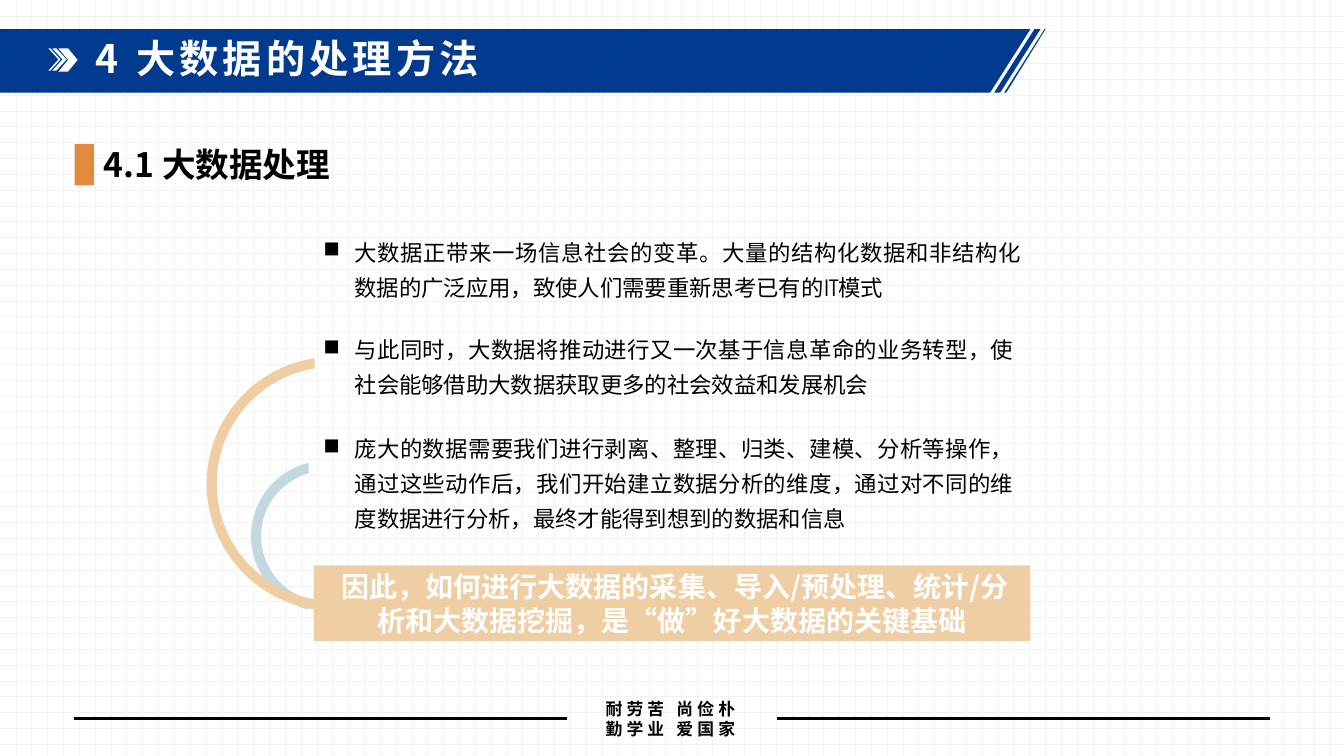
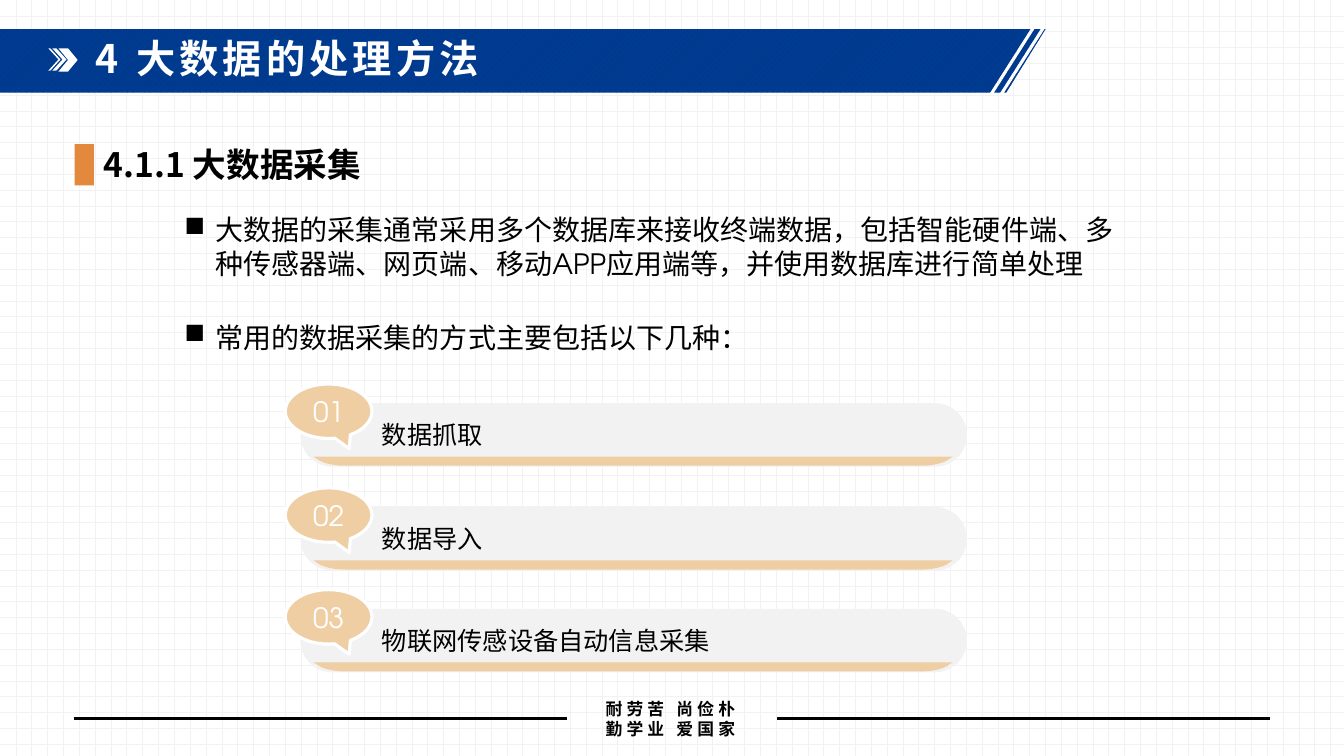
import math
import pptx
import pptx.util
import pptx.dml.color
import pptx.enum.dml
import pptx.enum.shapes
import pptx.enum.text
import pptx.oxml
import pptx.oxml.ns

Inches, Pt = pptx.util.Inches, pptx.util.Pt
SHAPE = pptx.enum.shapes.MSO_SHAPE
ALIGN = pptx.enum.text.PP_ALIGN
ANCHOR = pptx.enum.text.MSO_ANCHOR
PATTERN = pptx.enum.dml.MSO_PATTERN

# Content
TITLE = "4 大数据的处理方法"
MOTTO = ["耐劳苦 尚俭朴", "勤学业 爱国家"]
HEADS = ["4.1 大数据处理", "4.1.1 大数据采集"]
TRENDS = [  # top, width, height, text
    (2.36, 7.13, 0.56, "大数据正带来一场信息社会的变革。大量的结构化数据和非结构化数据的广泛应用，致使人们需要重新思考已有的IT模式"),
    (2.91, 7.05, 1.39, "与此同时，大数据将推动进行又一次基于信息革命的业务转型，使社会能够借助大数据获取更多的社会效益和发展机会"),
    (3.99, 7.05, 1.54, "庞大的数据需要我们进行剥离、整理、归类、建模、分析等操作，通过这些动作后，我们开始建立数据分析的维度，通过对不同的维度数据进行分析，最终才能得到想到的数据和信息"),
]
CLAIM = "因此，如何进行大数据的采集、导入/预处理、统计/分析和大数据挖掘，是“做”好大数据的关键基础"
INTRO = [
    "大数据的采集通常采用多个数据库来接收终端数据，包括智能硬件端、多种传感器端、网页端、移动APP应用端等，并使用数据库进行简单处理",
    "常用的数据采集的方式主要包括以下几种：",
]
WAYS = [(4, "数据抓取"), (5.03, "数据导入"), (6.04, "物联网传感设备自动信息采集")]

# Colours and text formats
NAVY, BLUE, ORANGE = "003A8F", "00449A", "E3893D"
SAND, TEAL, GREY = "F0CEA3", "C1D9DF", "F2F2F2"
WHITE, BLACK = "FFFFFF", "000000"
HEAVY, LIGHT = "Noto Sans CJK SC", "TeX Gyre Adventor"

BANNER = dict(size=28, name=HEAVY, color=WHITE, bold=True, track=300, lines=0.9)
HEAD = dict(size=24, name=HEAVY, color=BLACK, bold=True, lines=0.9)
SMALL = dict(size=12, name=HEAVY, color=BLACK, bold=True, track=300, align=ALIGN.CENTER)
STRONG = dict(size=20, name=HEAVY, color=WHITE, bold=True, align=ALIGN.CENTER, indent=0.06)
TREND = dict(size=16, name=LIGHT, color=BLACK, lines=1.3, align=ALIGN.JUSTIFY, bullet=True)
POINT = dict(size=20, name=LIGHT, color=BLACK, gap=29, bullet=True)
LABEL = dict(size=18, name=LIGHT, color=BLACK, lines=1.1)
NUMBER = dict(size=20, name=LIGHT, color=WHITE, align=ALIGN.CENTER)


def rgb(code):
    return pptx.dml.color.RGBColor.from_string(code)


def hatch(fill, kind, fore, back):
    fill.patterned()
    fill.pattern = kind
    fill.fore_color.rgb, fill.back_color.rgb = rgb(fore), rgb(back)


def add_mark(parent, tag, **attrs):
    mark = pptx.oxml.parse_xml(f"<a:{tag} {pptx.oxml.ns.nsdecls('a')}/>")
    for key, val in attrs.items():
        mark.set(key, val)
    parent.append(mark)
    return mark


def write(shape, lines, form, anchor=ANCHOR.TOP, inset=(0.1, 0.05, 0.1, 0.05)):
    frame = shape.text_frame
    sides = ("margin_left", "margin_top", "margin_right", "margin_bottom")
    look = dict(word_wrap=True, vertical_anchor=anchor,
                auto_size=pptx.enum.text.MSO_AUTO_SIZE.NONE)
    look.update(zip(sides, map(Inches, inset)))
    for key, val in look.items():
        setattr(frame, key, val)
    for i, line in enumerate(lines):
        para = frame.paragraphs[0] if i == 0 else frame.add_paragraph()
        props = para._p.get_or_add_pPr()
        if form.get("bullet"):
            props.set("marL", str(Inches(0.31)))
            props.set("indent", str(-Inches(0.31)))
            add_mark(props, "buChar", char="■")
        else:
            props.set("marL", "0")
            props.set("indent", str(Inches(form.get("indent", 0))))
            add_mark(props, "buNone")
        style = dict(alignment=form.get("align", ALIGN.LEFT),
                     line_spacing=form.get("lines", 1.0),
                     space_before=Pt(form.get("gap", 0) if i else 0),
                     space_after=Pt(0))
        for key, val in style.items():
            setattr(para, key, val)
        run = para.add_run()
        run.text = line
        font = dict(size=Pt(form["size"]), name=form["name"], bold=form.get("bold", False))
        for key, val in font.items():
            setattr(run.font, key, val)
        run.font.color.rgb = rgb(form["color"])
        rpr = run._r.get_or_add_rPr()
        add_mark(rpr, "ea", typeface=form["name"])
        if "track" in form:
            rpr.set("spc", str(form["track"]))


def place(shape, box):
    for key, val in zip(("left", "top", "width", "height"), box):
        setattr(shape, key, Inches(val))


def paint(shape, color):
    shape.shadow.inherit = False
    shape.line.fill.background()
    if color:
        shape.fill.solid()
        shape.fill.fore_color.rgb = rgb(color)
    return shape


def draw(slide, kind, box, color):
    return paint(slide.shapes.add_shape(kind, *map(Inches, box)), color)


def outline(slide, paths, color=None):
    pen = None
    for first, *rest in paths:
        if pen is None:
            pen = slide.shapes.build_freeform(*map(Inches, first), scale=1.0)
        else:
            pen.move_to(*map(Inches, first))
        pen.add_line_segments([(Inches(x), Inches(y)) for x, y in rest], close=True)
    return paint(pen.convert_to_shape(), color)


def text(slide, box, lines, form, **more):
    write(slide.shapes.add_textbox(*map(Inches, box)), lines, form, **more)


def curve(shape, starts):
    """Join three straight steps into one Bézier curve at each start."""
    steps = shape._element.xpath(".//a:lnTo")
    for i in starts:
        trio = steps[i:i + 3]
        bend = add_mark(trio[0].getparent(), "cubicBezTo")
        trio[0].addprevious(bend)
        for step in trio:
            bend.append(step[0])
            step.getparent().remove(step)


def arc(slide, mid, outer, inner, edge, color):
    """Left part of a ring, cut off at the vertical line x = edge."""
    def bow(radius):
        half = math.acos((mid[0] - edge) / radius)
        pull = 4 / 3 * math.tan(half / 4)
        dots = []
        for turn, lean in ((-half, 0), (-half, pull), (0, -pull), (0, 0),
                           (0, pull), (half, -pull), (half, 0)):
            dots.append((mid[0] - radius * (math.cos(turn) - lean * math.sin(turn)),
                         mid[1] + radius * (math.sin(turn) + lean * math.cos(turn))))
        return dots
    ring = outline(slide, [bow(outer) + bow(inner)[::-1]], color)
    curve(ring, (0, 3, 7, 10))


def rule(slide, start, end, y):
    line = slide.shapes.add_connector(pptx.enum.shapes.MSO_CONNECTOR.STRAIGHT,
                                      Inches(start), Inches(y), Inches(end), Inches(y))
    line.line.color.rgb = rgb(BLACK)
    line.line.width = Pt(2)
    add_mark(line._element.spPr, "effectLst")


def frame(slide, layout):
    """Draw the shared parts and hand them to the layout."""
    top, low = 0.29, 0.92
    spans = [(10.36, 10.37, 9.98, 9.96), (10.26, 10.32, 9.92, 9.86), (0, 10.22, 9.82, 0)]
    band = outline(slide, [[(a, top), (b, top), (c, low), (d, low)] for a, b, c, d in spans])
    hatch(band.fill, PATTERN.WIDE_UPWARD_DIAGONAL, BLUE, NAVY)
    draw(slide, SHAPE.CHEVRON, (0.58, 0.48, 0.19, 0.23), WHITE)
    for x, thick in ((0.52, 0.04), (0.48, 0.02)):
        tip = x + 0.1
        outline(slide, [[(x, 0.48), (x + thick, 0.48), (tip + thick, 0.59),
                         (x + thick, 0.7), (x, 0.7), (tip, 0.59)]], WHITE)
    text(slide, (5.61, 6.88, 2.08, 0.5), MOTTO, SMALL, anchor=ANCHOR.MIDDLE)
    for start, end in ((0.73, 5.62), (7.71, 12.6)):
        rule(slide, start, end, 7.13)
    draw(slide, SHAPE.RECTANGLE, (0.74, 1.43, 0.19, 0.41), ORANGE)
    parts = [s._element for s in slide.shapes if not s.is_placeholder]
    for i, part in enumerate(parts):
        part.xpath("./*/p:cNvPr")[0].set("id", str(20 + i))
        layout.shapes._spTree.insert(2 + i, part)


def fill_trends(slide):
    arc(slide, (3.24, 5.32), 0.75, 0.65, 3.06, TEAL)
    arc(slide, (3.31, 4.8), 1.26, 1.16, 3.12, SAND)
    for top, wide, high, line in TRENDS:
        text(slide, (3.11, top, wide, high), [line], TREND, anchor=ANCHOR.MIDDLE)
    claim = draw(slide, SHAPE.RECTANGLE, (3.11, 5.61, 7.11, 0.75), SAND)
    write(claim, [CLAIM], STRONG, anchor=ANCHOR.MIDDLE, inset=(0.18, 0.05, 0.18, 0.05))


def fill_ways(slide):
    text(slide, (1.73, 2.06, 9.48, 1.51), INTRO, POINT)
    wide, rim = 6.34, [(0.06, 0.04), (0.12, 0.07), (0.21, 0.09), (0.3, 0.09)]
    base = [(0, 0), (wide, 0)] + [(wide - x, y) for x, y in rim] + rim[::-1]
    for i, (y, way) in enumerate(WAYS, 1):
        pill = draw(slide, SHAPE.ROUNDED_RECTANGLE, (2.98, y, 6.61, 0.63), GREY)
        pill.adjustments[0] = 0.5
        text(slide, (3.69, y + 0.08, 5.71, 0.41), [way], LABEL)
        tag = draw(slide, SHAPE.OVAL_CALLOUT, (2.83, y - 0.19, 0.86, 0.54), SAND)
        tag.adjustments[0], tag.adjustments[1] = 0.238, 0.688
        tag.line.color.rgb = rgb(WHITE)
        tag.line.width = Pt(2.25)
        write(tag, [f"{i:02}"], NUMBER, anchor=ANCHOR.MIDDLE, inset=(0, 0.05, 0, 0.05))
        foot = outline(slide, [[(3.11 + dx, y + 0.53 + dy) for dx, dy in base]], SAND)
        curve(foot, (2, 6))


def main():
    deck = pptx.Presentation()
    deck.slide_width, deck.slide_height = Inches(13.33), Inches(7.5)
    hatch(deck.slide_master.background.fill, PATTERN.DOTTED_GRID, GREY, WHITE)
    layout = deck.slide_layouts.get_by_name("Title and Content")
    spots = {0: (0.85, 0.34, 8.18, 0.56), 1: (0.93, 1.42, 11.67, 0.41)}
    for holder in list(layout.placeholders):
        spot = spots.get(holder.placeholder_format.idx)
        if spot:
            place(holder, spot)
        else:
            layout.shapes._spTree.remove(holder._element)
    for i, (head, fill) in enumerate(zip(HEADS, (fill_trends, fill_ways))):
        slide = deck.slides.add_slide(layout)
        write(slide.shapes.title, [TITLE], BANNER)
        write(slide.placeholders[1], [head], HEAD)
        if i == 0:
            frame(slide, layout)
        fill(slide)
    deck.save("out.pptx")


if __name__ == "__main__":
    main()
